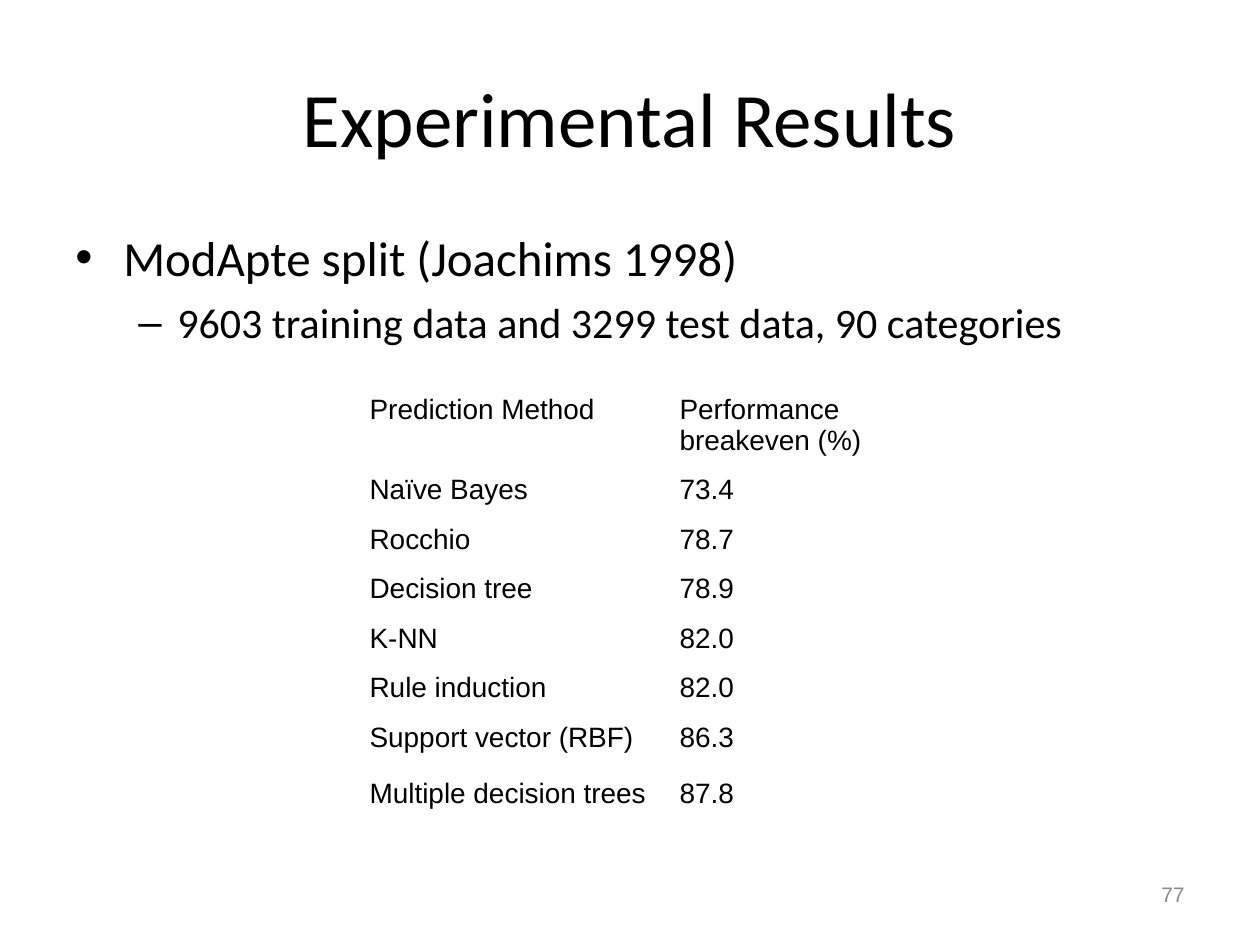
from typing import NamedTuple

from lxml import etree
from pptx import Presentation
from pptx.dml.color import RGBColor
from pptx.enum import text
from pptx.oxml import ns
from pptx.util import Emu, Pt

EMU_PER_PX = 914400 / 126
BLACK = RGBColor(0x00, 0x00, 0x00)
GREY = RGBColor(0x89, 0x89, 0x89)


class Box(NamedTuple):
    left: int
    top: int
    width: int
    height: int


class Style(NamedTuple):
    font: str
    size: int
    color: RGBColor = BLACK
    align: text.PP_ALIGN = text.PP_ALIGN.LEFT


class Bullet(NamedTuple):
    words: str
    mark: str
    level: int
    size: int
    margin: int
    hanging: int
    space_before: int


TITLE = Style("Calibri", 44, align=text.PP_ALIGN.CENTER)
CELL = Style("Arial", 16)
PAGE_NUMBER = Style("Arial", 12, GREY, text.PP_ALIGN.RIGHT)

BULLETS = [
    Bullet("ModApte split (Joachims 1998)", "•", 0, 28, 48, 48, 0),
    Bullet("9603 training data and 3299 test data, 90 categories", "–", 1, 24, 102, 39, 6),
]

RESULTS = [
    ("Prediction Method", "Performance breakeven (%)"),
    ("Naïve Bayes", "73.4"),
    ("Rocchio", "78.7"),
    ("Decision tree", "78.9"),
    ("K-NN", "82.0"),
    ("Rule induction", "82.0"),
    ("Support vector (RBF)", "86.3"),
    ("Multiple decision trees", "87.8"),
]
ROW_HEIGHTS = [79, 50, 49, 50, 49, 50, 56, 62]
COLUMN_WIDTH = 310


def px(length: int) -> Emu:
    return Emu(round(length * EMU_PER_PX))


def write(paragraph, words: str, style: Style) -> None:
    paragraph.alignment = style.align
    run = paragraph.add_run()
    run.text = words
    for name, value in {"name": style.font, "size": Pt(style.size)}.items():
        setattr(run.font, name, value)
    run.font.color.rgb = style.color


def add_frame(slide, box: Box, anchor: text.MSO_ANCHOR):
    frame = slide.shapes.add_textbox(*map(px, box)).text_frame
    for name, value in {"word_wrap": True, "vertical_anchor": anchor}.items():
        setattr(frame, name, value)
    return frame


def add_line(slide, box: Box, words: str, style: Style) -> None:
    frame = add_frame(slide, box, text.MSO_ANCHOR.MIDDLE)
    write(frame.paragraphs[0], words, style)


def add_bullets(slide, box: Box, bullets: list[Bullet]) -> None:
    frame = add_frame(slide, box, text.MSO_ANCHOR.TOP)
    for index, bullet in enumerate(bullets):
        paragraph = frame.add_paragraph() if index else frame.paragraphs[0]
        paragraph.level = bullet.level
        paragraph.space_before = Pt(bullet.space_before)
        properties = paragraph._p.get_or_add_pPr()
        properties.set("marL", str(px(bullet.margin)))
        properties.set("indent", str(-px(bullet.hanging)))
        etree.SubElement(properties, ns.qn("a:buFont")).set("typeface", "Arial")
        etree.SubElement(properties, ns.qn("a:buChar")).set("char", bullet.mark)
        write(paragraph, bullet.words, Style("Calibri", bullet.size))


def add_results(slide, left: int, top: int) -> None:
    columns = len(RESULTS[0])
    box = Box(left, top, COLUMN_WIDTH * columns, sum(ROW_HEIGHTS))
    table = slide.shapes.add_table(len(RESULTS), columns, *map(px, box)).table
    for name in ("first_row", "horz_banding"):
        setattr(table, name, False)
    # "No Style, No Grid": neither fills nor borders
    table._tbl.tblPr.find(ns.qn("a:tableStyleId")).text = (
        "{2D5ABB26-0587-4C30-8999-92F81FD0307C}"
    )
    for column in table.columns:
        column.width = px(COLUMN_WIDTH)
    for row, height, values in zip(table.rows, ROW_HEIGHTS, RESULTS):
        row.height = px(height)
        for cell, words in zip(row.cells, values):
            cell.fill.background()
            write(cell.text_frame.paragraphs[0], words, CELL)


def main() -> None:
    presentation = Presentation()
    presentation.slide_width, presentation.slide_height = px(1260), px(945)
    slide = presentation.slides.add_slide(presentation.slide_layouts[6])
    add_line(slide, Box(63, 38, 1134, 158), "Experimental Results", TITLE)
    add_bullets(slide, Box(63, 221, 1144, 624), BULLETS)
    add_results(slide, 357, 388)
    add_line(slide, Box(903, 861, 294, 66), "77", PAGE_NUMBER)
    presentation.save("out.pptx")


if __name__ == "__main__":
    main()
